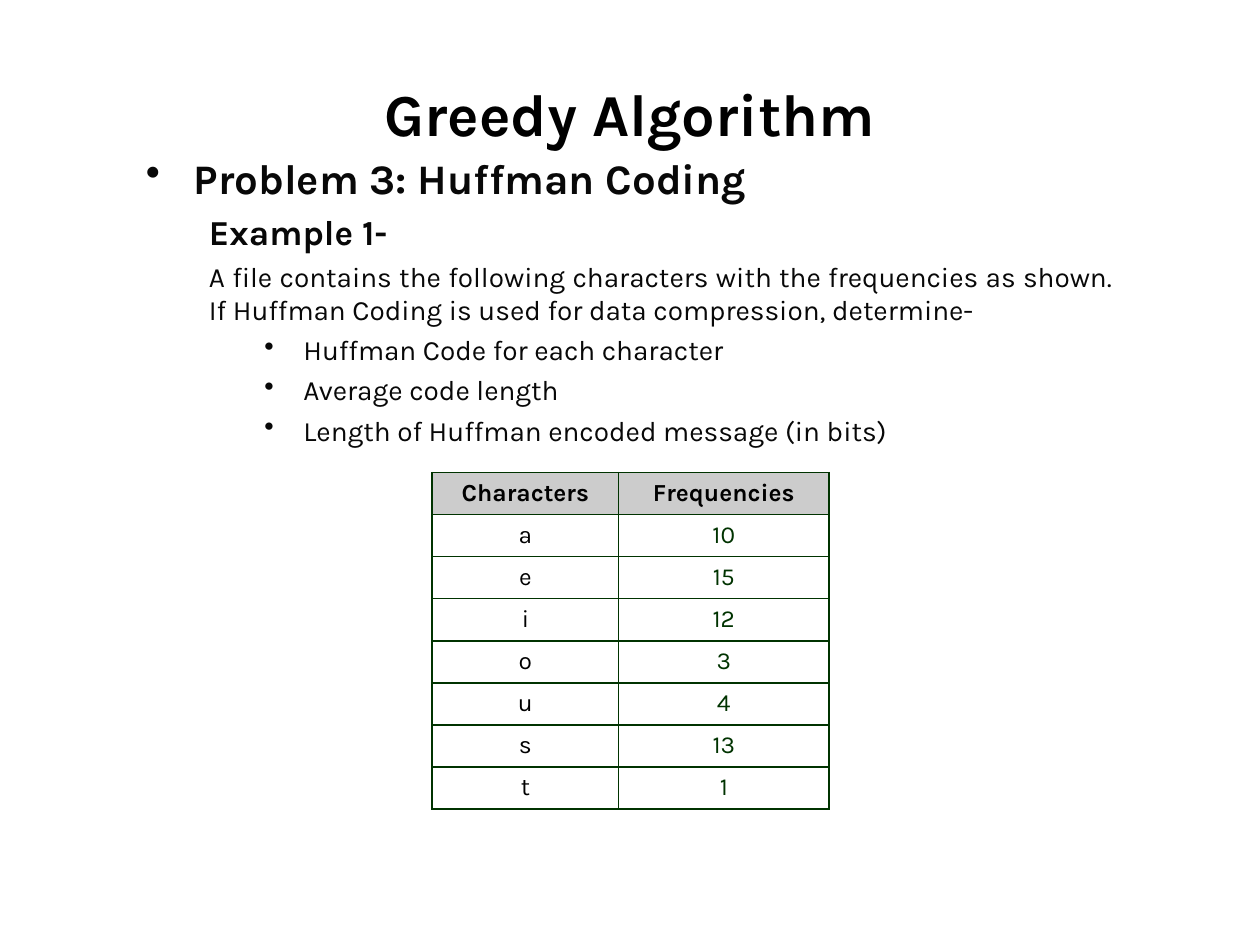
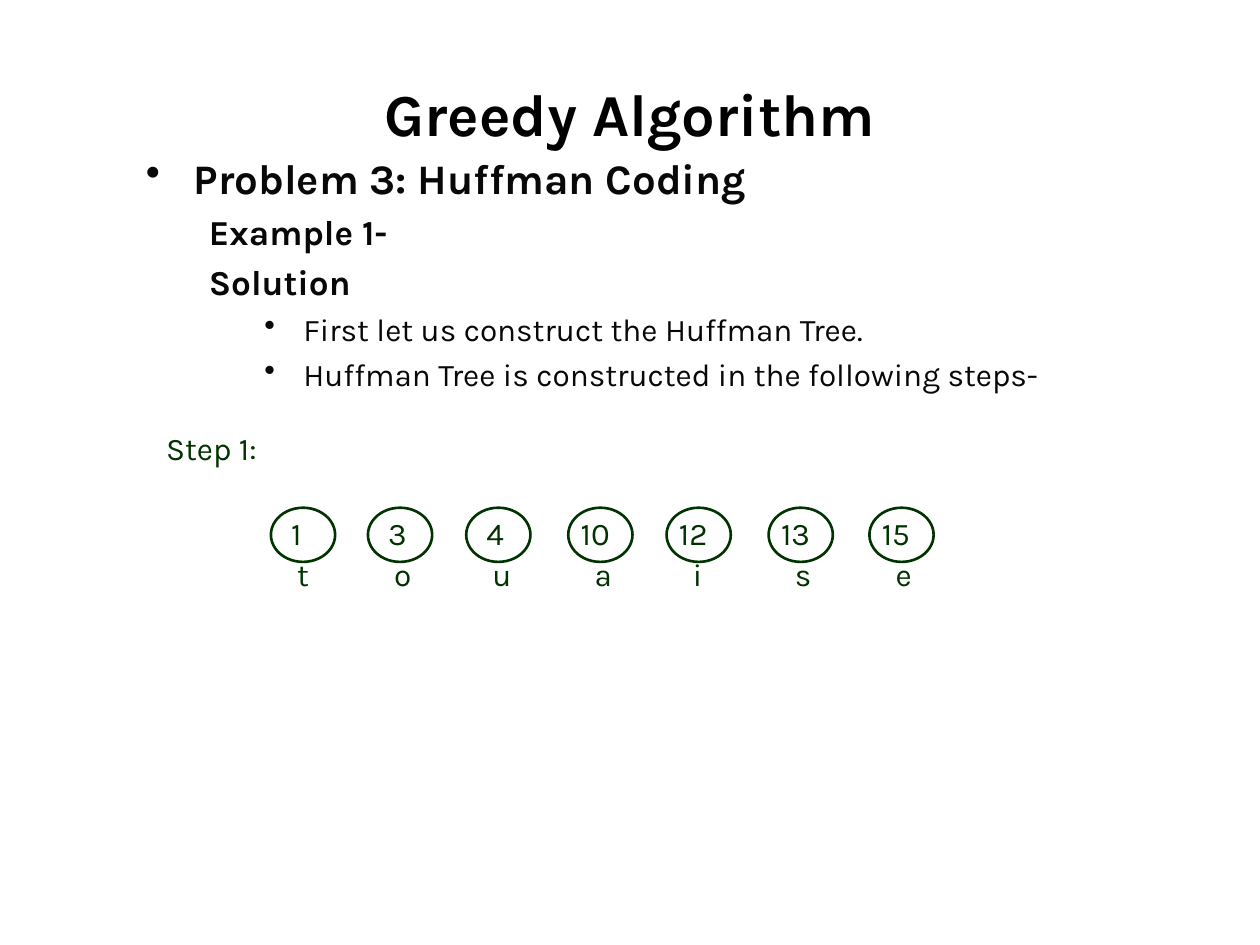
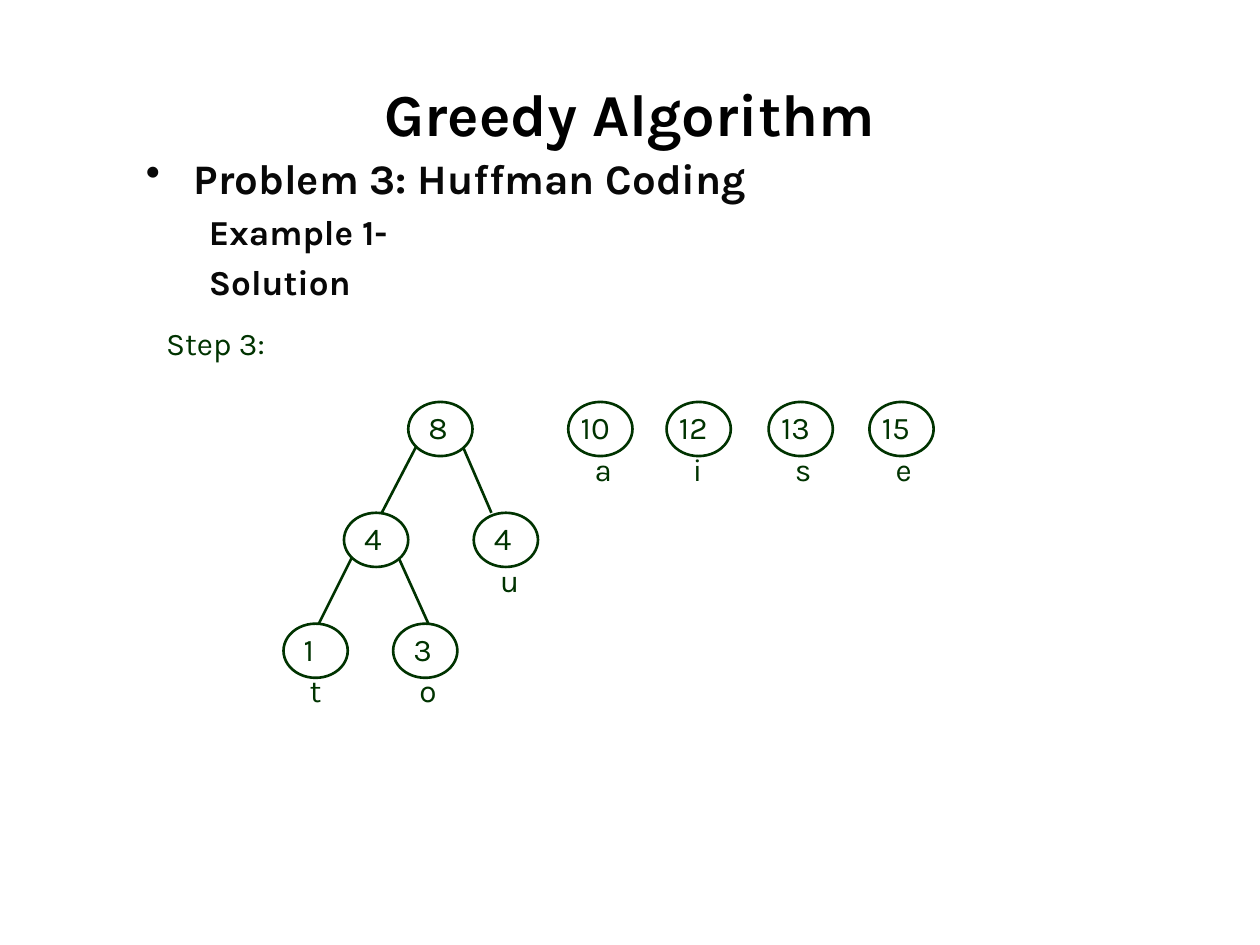
from pptx import Presentation
from pptx import util as u
from pptx.dml.color import RGBColor
from pptx.enum import shapes, text
from pptx.oxml.ns import qn
from lxml import etree

BLACK = RGBColor(0, 0, 0)
INK = RGBColor(8, 8, 8)
GREEN = RGBColor(0, 0x33, 0)
GREY = RGBColor(0xCC, 0xCC, 0xCC)
FONT = "Karla"
WIDE, HIGH = 10, 7.5
OVAL = (0.51, 0.43)
TIER = 0.88
LEFT, RIGHT = (0.06, 0.36), (0.44, 0.37)

TITLE = "Greedy Algorithm"
HEAD = [("top", 24, True, "Problem 3: Huffman Coding"), ("mid", 20, True, "Example 1-")]
SOLVE = HEAD + [("mid", 20, True, "Solution")]
TASK = HEAD + [
    ("mid", 16, False, "A file contains the following characters with the frequencies "
     "as shown. If Huffman Coding is used for data compression, determine-"),
    ("low", 16, False, "Huffman Code for each character"),
    ("low", 16, False, "Average code length"),
    ("low", 16, False, "Length of Huffman encoded message (in bits)"),
]
PLAN = SOLVE + [
    ("low", 18, False, "First let us construct the Huffman Tree."),
    ("low", 18, False, "Huffman Tree is constructed in the following steps-"),
]
LEVELS = {"top": (0.38, -0.38, True), "mid": (0.5, 0, False), "low": (1.25, -0.31, True)}

COUNTS = [("Characters", "Frequencies"), ("a", "10"), ("e", "15"), ("i", "12"),
          ("o", "3"), ("u", "4"), ("s", "13"), ("t", "1")]
COLS = (1.48, 1.67)

SMALL = [("1", "t", 2.15, 0), ("3", "o", 2.92, 0), ("4", "u", 3.7, 0)]
LARGE = [("10", "a", 4.51, 0), ("12", "i", 5.29, 0), ("13", "s", 6.1, 0), ("15", "e", 6.9, 0)]
ROOT, PAIR = ("8", "", 3.24, 0), ("4", "", 2.73, 1)
U, T, O = ("4", "u", 3.76, 1), ("1", "t", 2.25, 2), ("3", "o", 3.12, 2)
TREE = [ROOT, PAIR, U, T, O]
EDGES = [(ROOT, PAIR, LEFT, 0.3), (ROOT, U, RIGHT, 0.14),
         (PAIR, T, LEFT, 0.28), (PAIR, O, RIGHT, 0.28)]


def add_run(para, words, size, color, bold=False):
    run = para.add_run()
    run.text = words
    font = run.font
    font.name, font.size, font.bold = FONT, u.Pt(size), bold
    font.color.rgb = color


def add_box(slide, x, y, w, h):
    frame = slide.shapes.add_textbox(*map(u.Inches, (x, y, w, h))).text_frame
    frame.word_wrap = True
    return frame


def add_label(slide, words, x, y, w, inset=0.1):
    frame = add_box(slide, x, y, w, 0.4)
    frame.margin_left = u.Inches(inset)
    add_run(frame.paragraphs[0], words, 18, GREEN)


def add_body(slide, items, h):
    frame = add_box(slide, 1.06, 1.16, 7.87, h)
    for i, (level, size, bold, words) in enumerate(items):
        para = frame.add_paragraph() if i else frame.paragraphs[0]
        para.alignment = text.PP_ALIGN.JUSTIFY
        if i:
            para.space_before = u.Pt(round(size * 0.23, 1))
        margin, indent, dot = LEVELS[level]
        props = para._p.get_or_add_pPr()
        props.set("marL", str(u.Inches(margin)))
        props.set("indent", str(u.Inches(indent)))
        if dot:
            etree.SubElement(props, qn("a:buChar")).set("char", "•")
        add_run(para, words, size, INK, bold)


def add_page(deck, items, h):
    slide = deck.slides.add_slide(deck.slide_layouts[6])
    frame = add_box(slide, 0.05 * WIDE, 0.5, 0.9 * WIDE, 0.79)
    frame.vertical_anchor = text.MSO_ANCHOR.MIDDLE
    para = frame.paragraphs[0]
    para.alignment = text.PP_ALIGN.CENTER
    add_run(para, TITLE, 34, BLACK, True)
    add_body(slide, items, h)
    return slide


def add_edge(cell):
    props = cell._tc.get_or_add_tcPr()
    for i, side in enumerate(("lnL", "lnR", "lnT", "lnB")):
        line = etree.Element(qn("a:" + side), w=str(u.Pt(1)))
        fill = etree.SubElement(line, qn("a:solidFill"))
        etree.SubElement(fill, qn("a:srgbClr")).set("val", str(GREEN))
        props.insert(i, line)


def add_counts(slide):
    high = 2.62
    area = map(u.Inches, (3.43, 3.75, sum(COLS), high))
    table = slide.shapes.add_table(len(COUNTS), len(COLS), *area).table
    table.first_row = table.horz_banding = False
    for col, w in zip(table.columns, COLS):
        col.width = u.Inches(w)
    for r, row in enumerate(COUNTS):
        table.rows[r].height = u.Inches(high / len(COUNTS))
        for c, words in enumerate(row):
            cell = table.cell(r, c)
            if r:
                cell.fill.background()
            else:
                cell.fill.solid()
                cell.fill.fore_color.rgb = GREY
            add_edge(cell)
            para = cell.text_frame.paragraphs[0]
            para.alignment = text.PP_ALIGN.CENTER
            add_run(para, words, 14, GREEN if r and c else BLACK, r == 0)


def add_nodes(slide, nodes, top):
    for count, name, x, tier in nodes:
        y = top + tier * TIER
        oval = slide.shapes.add_shape(shapes.MSO_SHAPE.OVAL, *map(u.Inches, (x, y, *OVAL)))
        oval.shadow.inherit = False
        oval.fill.background()
        oval.line.color.rgb, oval.line.width = GREEN, u.Pt(1.5)
        add_label(slide, count, x, y, 0.55, 0.16 if len(count) == 1 else 0.1)
        if name:
            add_label(slide, name, x + 0.11, y + 0.33, 0.39)


def add_links(slide, top):
    for (_, _, x, tier), (_, _, kid, deep), (dx, dy), hit in EDGES:
        ends = (x + dx, top + tier * TIER + dy, kid + hit, top + deep * TIER)
        link = slide.shapes.add_connector(shapes.MSO_CONNECTOR.STRAIGHT, *map(u.Inches, ends))
        link.line.color.rgb, link.line.width = GREEN, u.Pt(1.5)
        etree.SubElement(link._element.spPr, qn("a:effectLst"))


def add_step(slide, words, top):
    add_label(slide, words, 1.22, top - 0.67, 1.18)


def main():
    deck = Presentation()
    deck.slide_width, deck.slide_height = u.Inches(WIDE), u.Inches(HIGH)

    add_counts(add_page(deck, TASK, 4.5))

    first = add_page(deck, PLAN, 2.05)
    add_nodes(first, SMALL + LARGE, 4.03)
    add_step(first, "Step 1:", 4.03)

    third = add_page(deck, SOLVE, 2.05)
    add_nodes(third, TREE + LARGE, 3.19)
    add_links(third, 3.19)
    add_step(third, "Step 3:", 3.19)

    deck.save("out.pptx")


if __name__ == "__main__":
    main()
